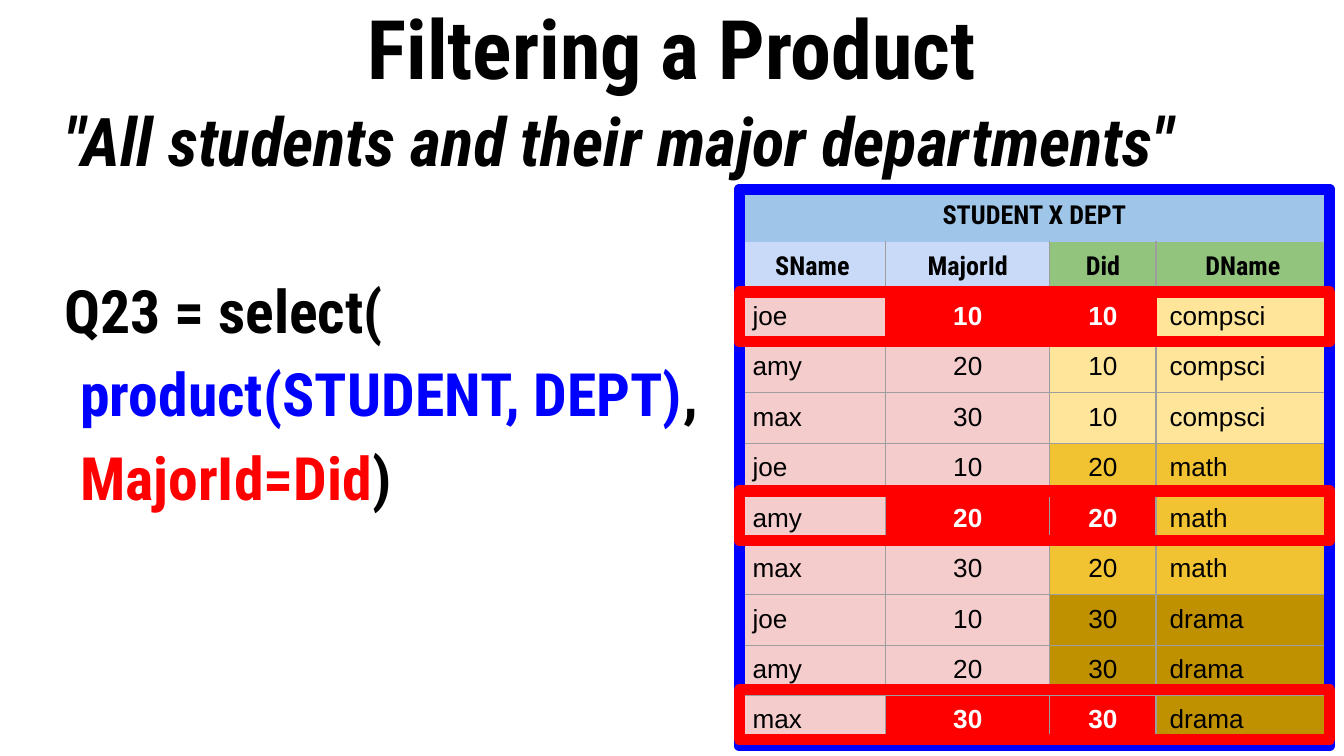
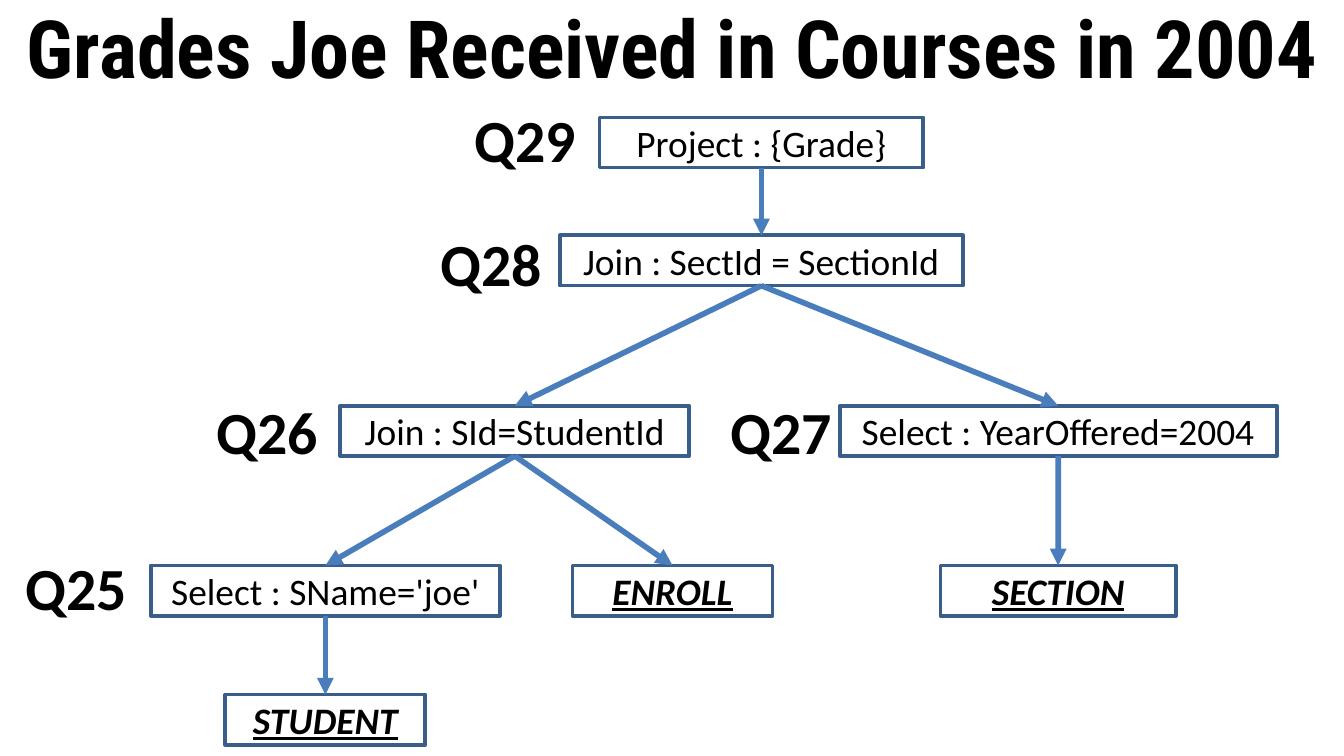
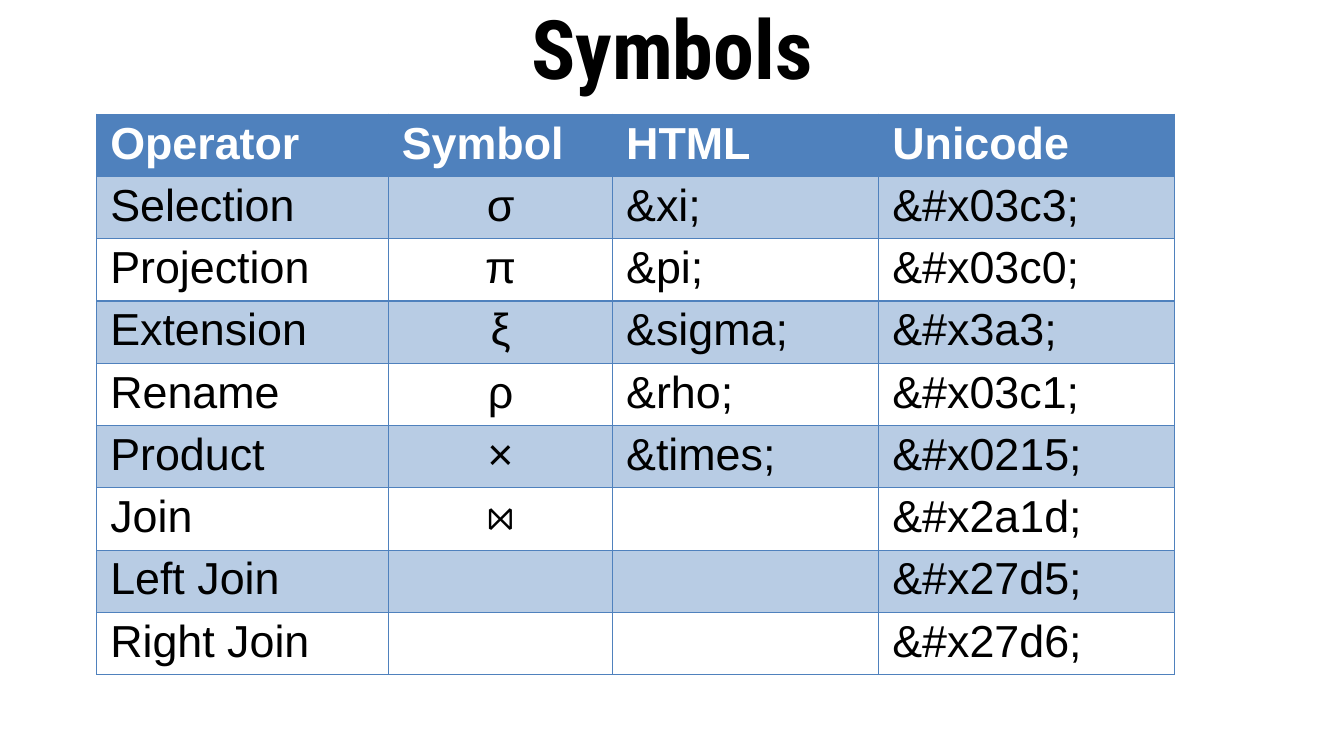
import itertools

import lxml.etree
import pptx
import pptx.dml.color
import pptx.enum.shapes
import pptx.enum.text
import pptx.oxml
import pptx.oxml.ns
import pptx.util

Cm = pptx.util.Cm
Pt = pptx.util.Pt
qn = pptx.oxml.ns.qn
ALIGN = pptx.enum.text.PP_ALIGN
ANCHOR = pptx.enum.text.MSO_ANCHOR
RECT = pptx.enum.shapes.MSO_SHAPE.RECTANGLE
STRAIGHT = pptx.enum.shapes.MSO_CONNECTOR.STRAIGHT

HEADING_FONT = "Roboto Condensed"
BLACK, WHITE, BLUE, RED = "000000", "FFFFFF", "0000FF", "FF0000"
GREY, PINK, TITLE_BLUE, TITLE_EDGE = "9E9E9E", "F4CCCC", "9FC5E8", "A4C2F4"
STUDENT_HEAD, DEPT_HEAD = "C9DAF8", "93C47D"
NODE_EDGE, ARROW, GRID_BLUE = "395E8A", "4A7DBB", "4F81BD"

SLIDE_W, SLIDE_H, TITLE_H = 25.4, 14.29, 1.75
SIDES = {"lnL": (0, -1, "lnR"), "lnR": (0, 1, "lnL"),
         "lnT": (-1, 0, "lnB"), "lnB": (1, 0, "lnT")}

STUDENTS = [("joe", "10"), ("amy", "20"), ("max", "30")]
DEPTS = [("10", "compsci", "FFE599"), ("20", "math", "F1C232"),
         ("30", "drama", "BF9000")]

LEVELS = [0.52, 2.75, 5.97, 8.99, 11.43]
NODE_H = 0.95
NODES = {
    "project": (14.39, 0, 6.12, "Project : {Grade}"),
    "join section": (14.39, 1, 7.62, "Join : SectId = SectionId"),
    "join student": (9.73, 2, 6.6, "Join : SId=StudentId"),
    "select year": (20, 2, 8.26, "Select : YearOffered=2004"),
    "select name": (6.15, 3, 6.6, "Select : SName='joe'"),
    "enroll": (12.71, 3, 3.78, "ENROLL"),
    "section": (20, 3, 4.45, "SECTION"),
    "student": (6.15, 4, 3.78, "STUDENT"),
}
TABLE_NODES = ("enroll", "section", "student")
EDGES = [
    ("project", "join section"),
    ("join section", "join student"),
    ("join section", "select year"),
    ("join student", "select name"),
    ("join student", "enroll"),
    ("select year", "section"),
    ("select name", "student"),
]
QUERY_LABELS = [("Q25", 0.23, 8.46), ("Q26", 3.84, 5.51), ("Q27", 13.56, 5.51),
                ("Q28", 8.08, 2.34), ("Q29", 8.71, 0)]

SYMBOLS = [
    ("Operator", "Symbol", "HTML", "Unicode"),
    ("Selection", "σ", "&xi;", "&#x03c3;"),
    ("Projection", "π", "&pi;", "&#x03c0;"),
    ("Extension", "ξ", "&sigma;", "&#x3a3;"),
    ("Rename", "ρ", "&rho;", "&#x03c1;"),
    ("Product", "×", "&times;", "&#x0215;"),
    ("Join", "⋈", "", "&#x2a1d;"),
    ("Left Join", "", "", "&#x27d5;"),
    ("Right Join", "", "", "&#x27d6;"),
]


def rgb(value):
    return pptx.dml.color.RGBColor.from_string(value)


def style(r, size, font, colour=BLACK, bold=False, italic=False, underline=False):
    r.font.size = Pt(size)
    r.font.name = font
    r.font.color.rgb = rgb(colour)
    r.font.bold = bold
    r.font.italic = italic
    r.font.underline = underline


def add_box(s, x, y, w, h, anchor=ANCHOR.TOP):
    tf = s.shapes.add_textbox(Cm(x), Cm(y), Cm(w), Cm(h)).text_frame
    tf.word_wrap = True
    tf.vertical_anchor = anchor
    return tf


def add_title(s, text, size=44):
    tf = add_box(s, 0, 0, SLIDE_W, TITLE_H, ANCHOR.MIDDLE)
    tf.text = text
    p = tf.paragraphs[0]
    p.alignment = ALIGN.CENTER
    style(p.runs[0], size, HEADING_FONT, bold=True)


def add_rect(s, x, y, w, h, edge, weight, fill=None):
    sp = s.shapes.add_shape(RECT, Cm(x), Cm(y), Cm(w), Cm(h))
    sp.shadow.inherit = False
    sp.line.color.rgb = rgb(edge)
    sp.line.width = Pt(weight)
    if fill:
        sp.fill.solid()
        sp.fill.fore_color.rgb = rgb(fill)
    else:
        sp.fill.background()
    return sp


def add_arrow(s, start, end):
    cx = s.shapes.add_connector(STRAIGHT, 0, 0, 0, 0)
    cx.begin_connect(start, 2)
    cx.end_connect(end, 0)
    cx.line.color.rgb = rgb(ARROW)
    cx.line.width = Pt(3)
    lxml.etree.SubElement(cx.line._get_or_add_ln(), qn("a:tailEnd"), type="triangle")
    lxml.etree.SubElement(cx._element.spPr, qn("a:effectLst"))


def set_border(cell, side, colour):
    tcPr = cell._tc.get_or_add_tcPr()
    ln = tcPr.find(qn("a:" + side))
    if ln is None:
        ln = lxml.etree.Element(qn("a:" + side), w=str(Pt(0.75)))
        fill = lxml.etree.SubElement(ln, qn("a:solidFill"))
        lxml.etree.SubElement(fill, qn("a:srgbClr"))
        tcPr.insert(list(SIDES).index(side), ln)
    ln.find(".//" + qn("a:srgbClr")).set("val", colour)


def outline_cell(table, row, col, colour):
    for side, (down, across, facing) in SIDES.items():
        set_border(table.cell(row, col), side, colour)
        r, c = row + down, col + across
        if 0 <= r < len(table.rows) and 0 <= c < len(table.columns):
            set_border(table.cell(r, c), facing, colour)


def add_grid(s, x, y, widths, row_h, count, edge):
    table = s.shapes.add_table(count, len(widths), Cm(x), Cm(y), Cm(sum(widths)),
                               Cm(row_h * count)).table
    table.first_row = table.horz_banding = False
    for column, width in zip(table.columns, widths):
        column.width = Cm(width)
    for row in table.rows:
        row.height = Cm(row_h)
    for cell, side in itertools.product(table.iter_cells(), SIDES):
        set_border(cell, side, edge)
    return table


def fill_cell(cell, text, fill, pad, centred, size, font, colour=BLACK, bold=False):
    cell.margin_top = cell.margin_bottom = Cm(pad)
    if fill:
        cell.fill.solid()
        cell.fill.fore_color.rgb = rgb(fill)
    else:
        cell.fill.background()
    cell.text = text
    p = cell.text_frame.paragraphs[0]
    p.alignment = ALIGN.CENTER if centred else ALIGN.LEFT
    for r in p.runs:
        style(r, size, font, colour, bold)


def add_query(s, x, y, w, h):
    lines = [
        (0.97, 0, 36, [('"All students and their major departments"', BLACK)]),
        (0.97, 50.3, 32, [("Q23 = select(", BLACK)]),
        (1.27, 6.4, 32, [("product(STUDENT, DEPT)", BLUE), (",", BLACK)]),
        (1.27, 6.4, 32, [("MajorId=Did", RED), (")", BLACK)]),
    ]
    tf = add_box(s, x, y, w, h)
    for i, (indent, before, size, parts) in enumerate(lines):
        p = tf.add_paragraph() if i else tf.paragraphs[0]
        p._p.get_or_add_pPr().set("marL", str(Cm(indent)))
        if before:
            p.space_before = Pt(before)
        for text, colour in parts:
            r = p.add_run()
            r.text = text
            style(r, size, HEADING_FONT, colour, bold=True, italic=i == 0)


def add_product_table(s, x, y):
    widths, row_h = [2.77, 3.1, 2.01, 3.28], 0.94
    pairs = list(itertools.product(DEPTS, STUDENTS))
    table = add_grid(s, x, y, widths, row_h, len(pairs) + 2, GREY)
    heading = (0.18, True, 14, HEADING_FONT, BLACK, True)

    for col in range(len(widths)):
        outline_cell(table, 0, col, TITLE_EDGE)
    table.cell(0, 0).merge(table.cell(0, len(widths) - 1))
    fill_cell(table.cell(0, 0), "STUDENT X DEPT", TITLE_BLUE, *heading)
    for col, name in enumerate(["SName", "MajorId", "Did", "DName"]):
        fill = STUDENT_HEAD if col < 2 else DEPT_HEAD
        fill_cell(table.cell(1, col), name, fill, *heading)

    matches = []
    for row, ((did, dname, gold), (sname, major)) in enumerate(pairs, 2):
        match = major == did
        if match:
            matches.append(row)
        for col, text in enumerate([sname, major, did, dname]):
            is_id = col in (1, 2)
            hit = match and is_id
            fill = RED if hit else PINK if col < 2 else gold
            fill_cell(table.cell(row, col), text, fill, 0.18, is_id, 14, "Arial",
                      WHITE if hit else BLACK, hit)
    for col in (1, 2):
        outline_cell(table, matches[0], col, RED)

    add_rect(s, x, y - 0.03, sum(widths), 10.52, BLUE, 6)
    for row in matches:
        add_rect(s, x, y + 0.03 + row * row_h, sum(widths), row_h, RED, 6)


def add_query_tree(s, x, y):
    boxes = {}
    for name, (centre, level, w, text) in NODES.items():
        sp = add_rect(s, x + centre - w / 2, y + LEVELS[level], w, NODE_H,
                      NODE_EDGE, 2, WHITE)
        tf = sp.text_frame
        tf.text = text
        tf.word_wrap = True
        tf.vertical_anchor = ANCHOR.MIDDLE
        p = tf.paragraphs[0]
        p.alignment = ALIGN.CENTER
        mark = name in TABLE_NODES
        style(p.runs[0], 20, "Calibri", bold=mark, italic=mark, underline=mark)
        boxes[name] = sp
    for start, end in EDGES:
        add_arrow(s, boxes[start], boxes[end])
    for text, left, top in QUERY_LABELS:
        tf = add_box(s, x + left, y + top, 2.77, 1.63, ANCHOR.MIDDLE)
        tf.margin_top, tf.margin_bottom = Cm(0.48), Cm(0.25)
        tf.text = text
        style(tf.paragraphs[0].runs[0], 32, "Calibri", bold=True)


def add_symbol_table(s, x, y):
    table = add_grid(s, x, y, [5.51, 4.24, 5.03, 5.59], 1.13, len(SYMBOLS), GRID_BLUE)
    for row, texts in enumerate(SYMBOLS):
        for col, text in enumerate(texts):
            head, banded = row == 0, row % 2 == 1
            size, font = (23, "Times New Roman") if text == "⋈" else (24, "Arial")
            cell = table.cell(row, col)
            fill_cell(cell, text, GRID_BLUE if head or banded else None, 0.08,
                      col == 1 and not head, size, font, WHITE if head else BLACK, head)
            if banded:
                clr = cell._tc.tcPr.find(qn("a:solidFill")).find(qn("a:srgbClr"))
                lxml.etree.SubElement(clr, qn("a:alpha"), val="40000")


def main():
    prs = pptx.Presentation()
    prs.slide_width, prs.slide_height = Cm(SLIDE_W), Cm(SLIDE_H)
    blank = prs.slide_layouts[6]

    s = prs.slides.add_slide(blank)
    add_title(s, "Filtering a Product")
    add_query(s, 0, TITLE_H, SLIDE_W, SLIDE_H - TITLE_H)
    add_product_table(s, 13.97, 3.61)

    s = prs.slides.add_slide(blank)
    add_title(s, "Grades Joe Received in Courses in 2004", 43)
    add_query_tree(s, 0, 1.7)

    s = prs.slides.add_slide(blank)
    add_title(s, "Symbols")
    add_symbol_table(s, 1.83, 2.16)

    prs.save("out.pptx")


if __name__ == "__main__":
    main()
